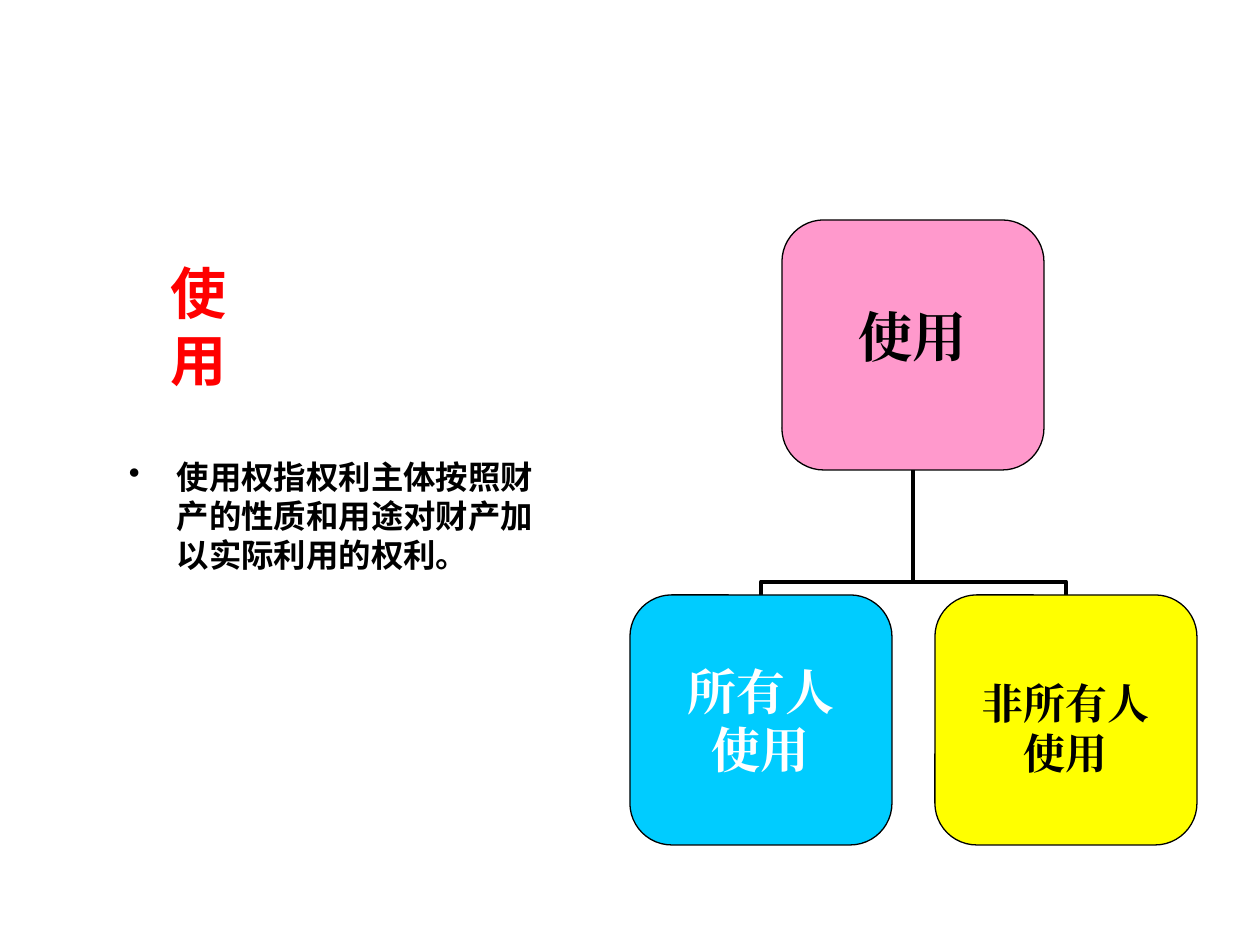
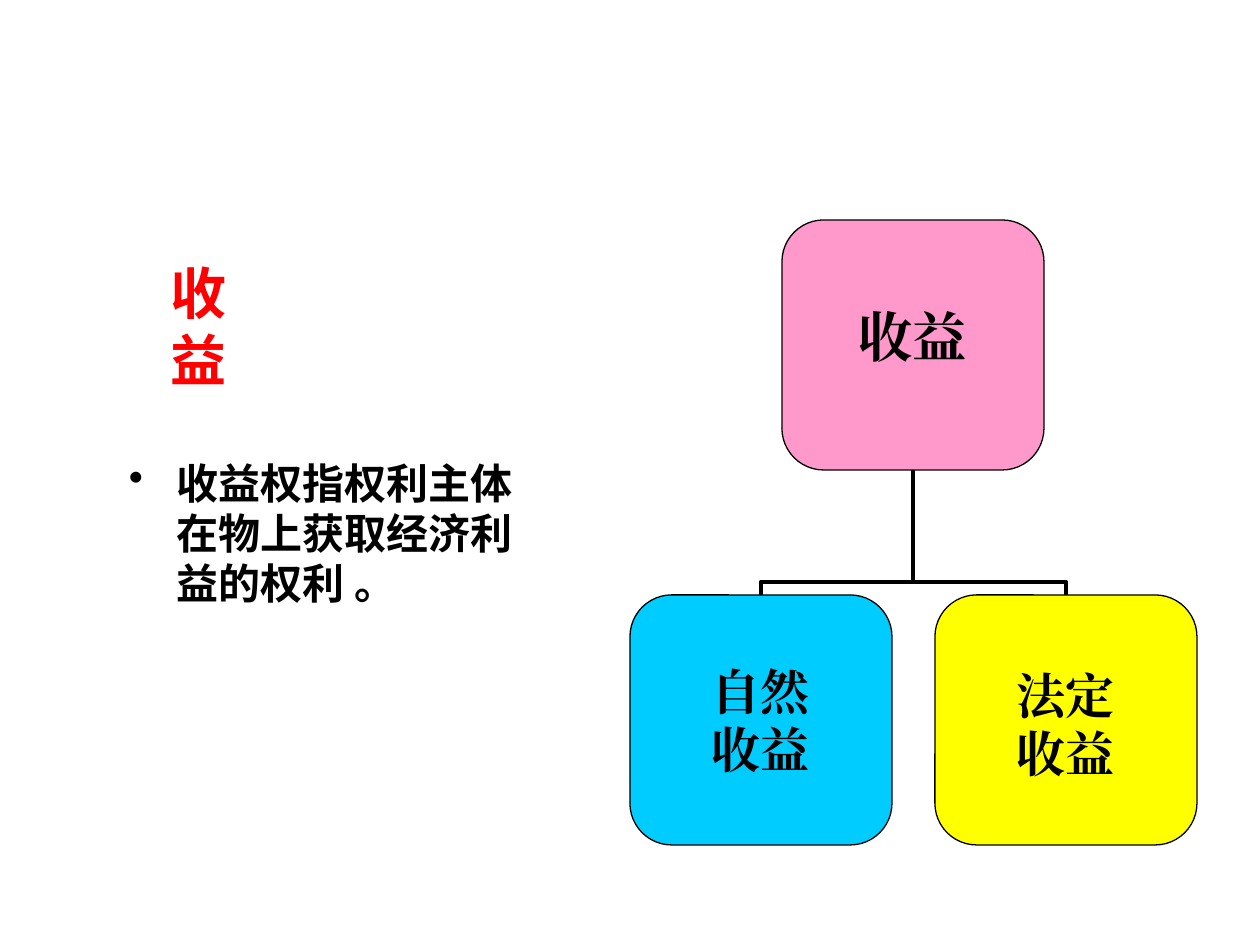
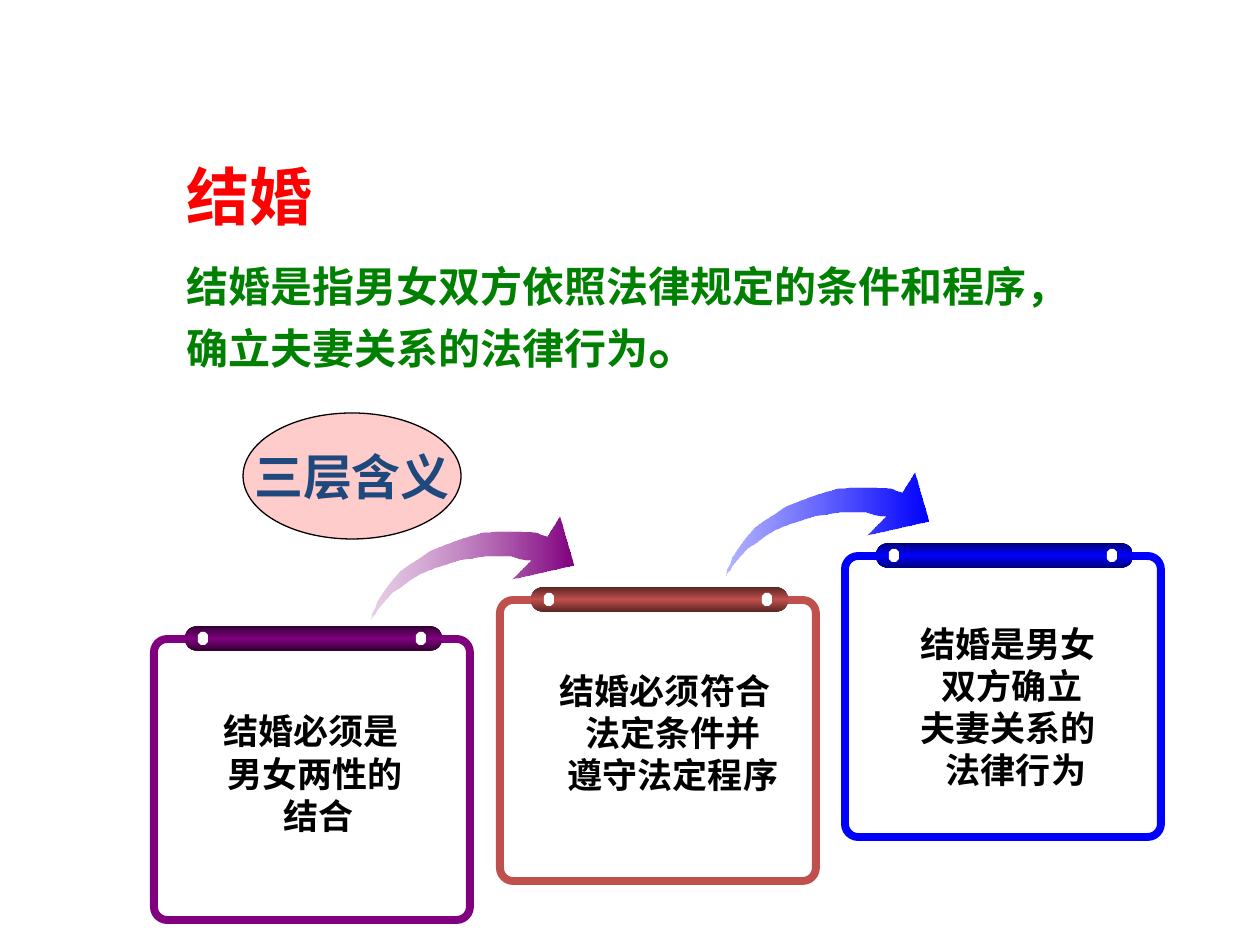
from lxml.etree import SubElement
from pptx import Presentation
from pptx.dml.color import RGBColor
from pptx.enum.lang import MSO_LANGUAGE_ID
from pptx.enum.shapes import MSO_CONNECTOR, MSO_SHAPE
from pptx.enum.text import MSO_ANCHOR, PP_ALIGN
from pptx.oxml import parse_xml
from pptx.oxml.ns import nsdecls, qn
from pptx.util import Pt

PX_PER_INCH = 126
BLACK = RGBColor(0x00, 0x00, 0x00)
WHITE = RGBColor(0xFF, 0xFF, 0xFF)
RED = RGBColor(0xFF, 0x00, 0x00)
GREEN = RGBColor(0x00, 0x80, 0x00)
NAVY = RGBColor(0x1F, 0x49, 0x7D)
PINK = RGBColor(0xFF, 0x99, 0xCC)
ROSE = RGBColor(0xFF, 0xCC, 0xCC)
CYAN = RGBColor(0x00, 0xCC, 0xFF)
YELLOW = RGBColor(0xFF, 0xFF, 0x00)
PURPLE = RGBColor(0x80, 0x00, 0x80)
PURPLE_DARK = RGBColor(0x32, 0x00, 0x32)
PURPLE_LIGHT = RGBColor(0xB6, 0x6C, 0xB6)
BRICK = RGBColor(0xC0, 0x50, 0x4D)
BRICK_DARK = RGBColor(0x59, 0x25, 0x24)
BLUE = RGBColor(0x00, 0x00, 0xFF)
BLUE_DARK = RGBColor(0x00, 0x00, 0x76)
BLUE_LIGHT = RGBColor(0x17, 0x17, 0xFF)

NODE_WIDTH, NODE_HEIGHT = 262, 250
BOX_INSETS = (13, 6, 13, 6)
SWOOSH = [
    (0, 103), (1, 100), (4, 97), (6, 93), (10, 88), (15, 82), (21, 76), (29, 71),
    (38, 64), (48, 58), (60, 53), (74, 48), (87, 44), (101, 42), (112, 40),
    (122, 40), (131, 40), (140, 40), (146, 42), (151, 43), (159, 44), (140, 63),
    (202, 49), (188, 0), (175, 20), (169, 18), (164, 16), (150, 15), (142, 15),
    (132, 15), (122, 15), (111, 16), (100, 19), (87, 23), (73, 28), (59, 34),
    (47, 42), (37, 48), (28, 55), (20, 64), (15, 71), (10, 78), (6, 84), (4, 91),
    (1, 96),
]


def emu(px):
    return round(px * 914400 / PX_PER_INCH)


class Deck:
    def __init__(self):
        self.prs = Presentation()
        self.prs.slide_width = emu(1260)
        self.prs.slide_height = emu(945)
        self.slide = None

    def new_slide(self):
        self.slide = self.prs.slides.add_slide(self.prs.slide_layouts[6])

    def fill_text(self, frame, lines, font, size, color, align=PP_ALIGN.LEFT, wrap=True,
                  anchor=MSO_ANCHOR.TOP, insets=BOX_INSETS, leading=1.2, indents=None,
                  bullet=False):
        frame.word_wrap = wrap
        frame.vertical_anchor = anchor
        (frame.margin_left, frame.margin_top,
         frame.margin_right, frame.margin_bottom) = map(emu, insets)
        for index, line in enumerate(lines):
            paragraph = frame.paragraphs[0] if index == 0 else frame.add_paragraph()
            paragraph.alignment = align
            paragraph.line_spacing = Pt(size * leading)
            properties = paragraph._p.get_or_add_pPr()
            if indents:
                properties.set("marL", str(emu(indents[index])))
            if bullet:
                properties.set("marL", str(emu(48)))
                properties.set("indent", str(emu(-48)))
                bullet_color = SubElement(properties, qn("a:buClr"))
                SubElement(bullet_color, qn("a:srgbClr")).set("val", str(color))
                SubElement(properties, qn("a:buChar")).set("char", "•")
            for text, run_size in [(line, size)] if isinstance(line, str) else line:
                run = paragraph.add_run()
                run.text = text
                run.font.name = font
                run.font.size = Pt(run_size)
                run.font.bold = True
                run.font.color.rgb = color
                run.font.language_id = MSO_LANGUAGE_ID.SIMPLIFIED_CHINESE
                latin = run._r.rPr.find(qn("a:latin"))
                latin.addnext(parse_xml(f'<a:ea {nsdecls("a")} typeface="{font}"/>'))

    def text(self, box, lines, font, size, color, **style):
        textbox = self.slide.shapes.add_textbox(*map(emu, box))
        self.fill_text(textbox.text_frame, lines, font, size, color, **style)

    def paint(self, shape, fill=None, line=None, width=0.75):
        shape.shadow.inherit = False
        if fill is None:
            shape.fill.background()
        else:
            shape.fill.solid()
            shape.fill.fore_color.rgb = fill
        if line is None:
            shape.line.fill.background()
        else:
            shape.line.color.rgb = line
            shape.line.width = Pt(width)

    def gradient(self, shape, stops, angle):
        self.paint(shape)
        marks = "".join(
            f'<a:gs pos="{position * 1000}"><a:srgbClr val="{color}">'
            f'<a:alpha val="{alpha * 1000}"/></a:srgbClr></a:gs>'
            for position, color, alpha in stops)
        properties = shape._element.spPr
        properties.replace(properties.find(qn("a:noFill")), parse_xml(
            f'<a:gradFill {nsdecls("a")} rotWithShape="1"><a:gsLst>{marks}</a:gsLst>'
            f'<a:lin ang="{angle * 60000}" scaled="0"/></a:gradFill>'))

    def shape(self, kind, box, corner=None, **colors):
        shape = self.slide.shapes.add_shape(kind, *map(emu, box))
        if corner is not None:
            shape.adjustments[0] = corner
        self.paint(shape, **colors)
        return shape

    def node(self, left, top, fill, lines, size, color=BLACK, drop=0):
        node = self.shape(MSO_SHAPE.ROUNDED_RECTANGLE,
                          (left, top, NODE_WIDTH, NODE_HEIGHT), 0.167,
                          fill=fill, line=BLACK)
        insets = (0, max(2 * drop, 0), 0, max(-2 * drop, 0))
        self.fill_text(node.text_frame, lines, "Times New Roman", size, color,
                       align=PP_ALIGN.CENTER, wrap=False, anchor=MSO_ANCHOR.MIDDLE,
                       insets=insets)

    def branch(self, child, parent):
        middle_x = (child[0] + parent[0]) / 2
        middle_y = (child[1] + parent[1]) / 2
        half_run = abs(child[1] - parent[1]) / 2
        half_rise = abs(child[0] - parent[0]) / 2
        side = 1 if child[0] < parent[0] else -1
        branch = self.slide.shapes.add_connector(
            MSO_CONNECTOR.ELBOW,
            emu(middle_x + side * half_run), emu(middle_y + half_rise),
            emu(middle_x - side * half_run), emu(middle_y - half_rise))
        branch.line.color.rgb = BLACK
        branch.line.width = Pt(2.25)
        properties = branch._element.spPr
        properties.find(qn("a:xfrm")).set("rot", str((90 if side > 0 else 270) * 60000))
        guide = SubElement(properties.find(qn("a:prstGeom")).find(qn("a:avLst")),
                           qn("a:gd"))
        guide.set("name", "adj1")
        guide.set("fmla", "val 10700")
        SubElement(properties, qn("a:effectLst"))

    def swoosh(self, left, top, light, color):
        points = [(emu(left + x), emu(top + y)) for x, y in SWOOSH]
        builder = self.slide.shapes.build_freeform(*points[0], scale=1.0)
        builder.add_line_segments(points[1:], close=True)
        self.gradient(builder.convert_to_shape(), [(0, light, 32), (100, color, 100)], 0)

    def card(self, left, top, color, dark):
        self.shape(MSO_SHAPE.ROUNDED_RECTANGLE, (left, top, 316, 281), 0.047,
                   line=color, width=4.5)
        bar = self.shape(MSO_SHAPE.ROUNDED_RECTANGLE, (left + 31, top - 13, 257, 25), 0.5)
        self.gradient(bar, [(0, dark, 100), (50, color, 100), (100, dark, 100)], 90)
        for offset in (262, 44):
            self.shape(MSO_SHAPE.OCTAGON, (left + offset, top - 7, 10, 13), 0.293,
                       fill=WHITE)

    def right_slide(self, name, definition, size, first, second):
        self.new_slide()
        self.text((116, 451, 441, 168), [definition], "Calibri", size, BLACK, bullet=True)
        self.text((158, 252, 137, 81), [name], "Arial", 32, RED, wrap=False)
        for child_x in (1066, 761):
            self.branch((child_x, 595), (913, 470))
        self.node(782, 220, PINK, [name], 31, drop=-9)
        self.node(630, 595, CYAN, **first)
        self.node(935, 595, YELLOW, **second)


def main():
    deck = Deck()
    deck.right_slide(
        "使用", "使用权指权利主体按照财产的性质和用途对财产加以实际利用的权利。", 18.5,
        dict(lines=["所有人", "使用"], size=28, color=WHITE),
        dict(lines=["非所有人", "使用"], size=24, drop=8))
    deck.right_slide(
        "收益", "收益权指权利主体在物上获取经济利益的权利 。", 24,
        dict(lines=["自然", "收益"], size=28),
        dict(lines=["法定", "收益"], size=28, drop=4))

    deck.new_slide()
    deck.text((174, 145, 179, 108), ["结婚"], "Noto Sans CJK SC", 36, RED, leading=1.3)
    deck.text((174, 240, 942, 145),
              [[("结婚是指男女双方依照法律规定的条件和程序，确立夫妻关系的法律行为", 24),
                ("。", 32)]],
              "Arial", 24, GREEN, leading=1.55)
    deck.swoosh(727, 473, BLUE_LIGHT, BLUE)
    deck.swoosh(372, 517, PURPLE_LIGHT, PURPLE)
    meanings = [
        (154, 639, PURPLE, PURPLE_DARK, 65,
         ["结婚必须是", "男女两性的", "结合"], [0, 8, 16]),
        (500, 600, BRICK, BRICK_DARK, 64,
         ["结婚必须符合", "法定条件并", "遵守法定程序"], [16, 32, 32]),
        (845, 556, BLUE, BLUE_DARK, 60,
         ["结婚是男女", "双方确立", "夫妻关系的", "法律行为"], [12, 20, 12, 28]),
    ]
    for left, top, color, dark, drop, lines, indents in meanings:
        deck.card(left, top, color, dark)
        deck.text((left + 10, top + drop, 294, 42 * len(lines) + 13), lines, "Arial", 20,
                  BLACK, align=PP_ALIGN.CENTER, indents=indents)
    theme = deck.shape(MSO_SHAPE.OVAL, (243, 413, 218, 126), fill=ROSE, line=BLACK)
    deck.fill_text(theme.text_frame, ["三层含义"], "Arial", 28, NAVY,
                   align=PP_ALIGN.CENTER, wrap=False, anchor=MSO_ANCHOR.MIDDLE)
    deck.prs.save("out.pptx")


if __name__ == "__main__":
    main()
